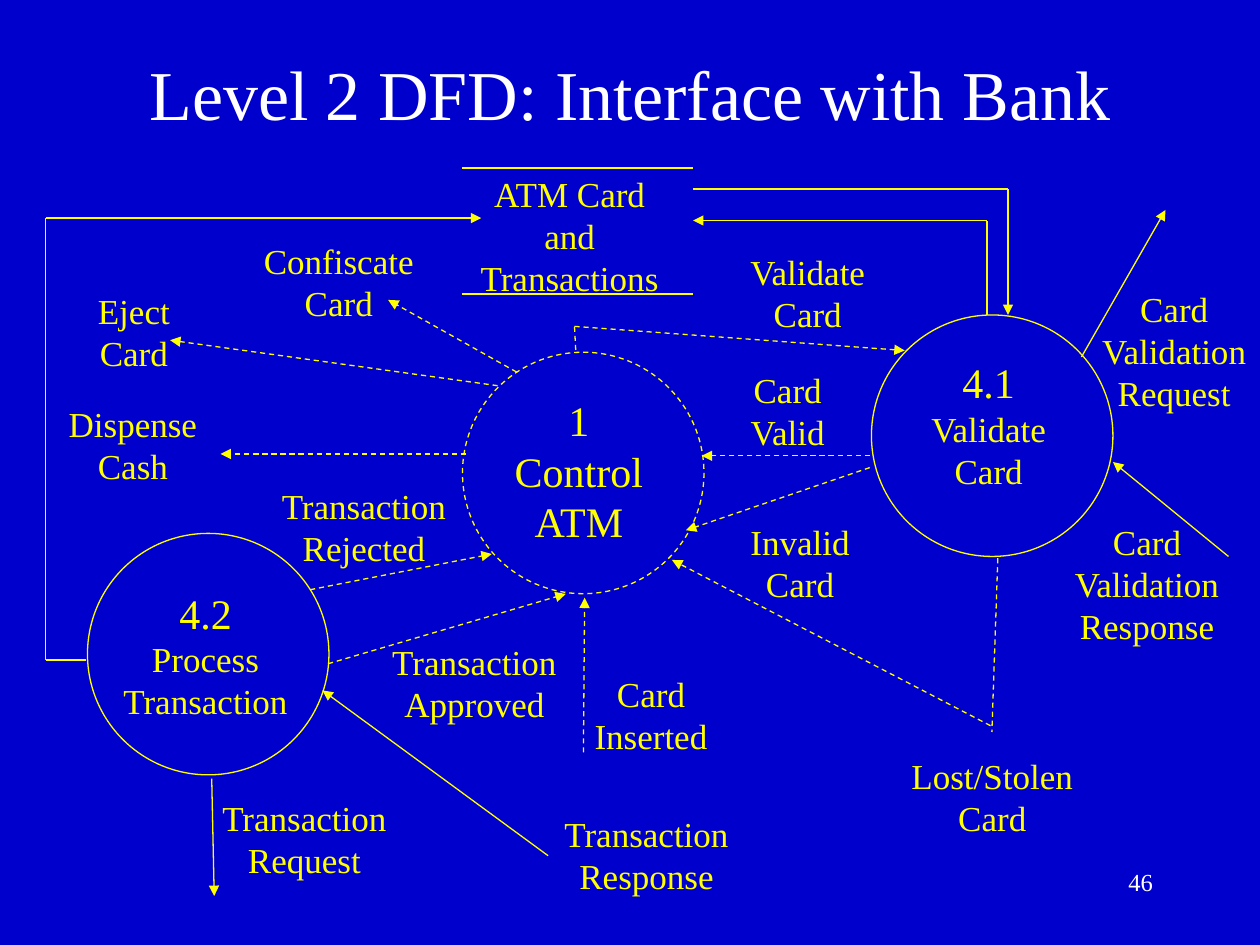
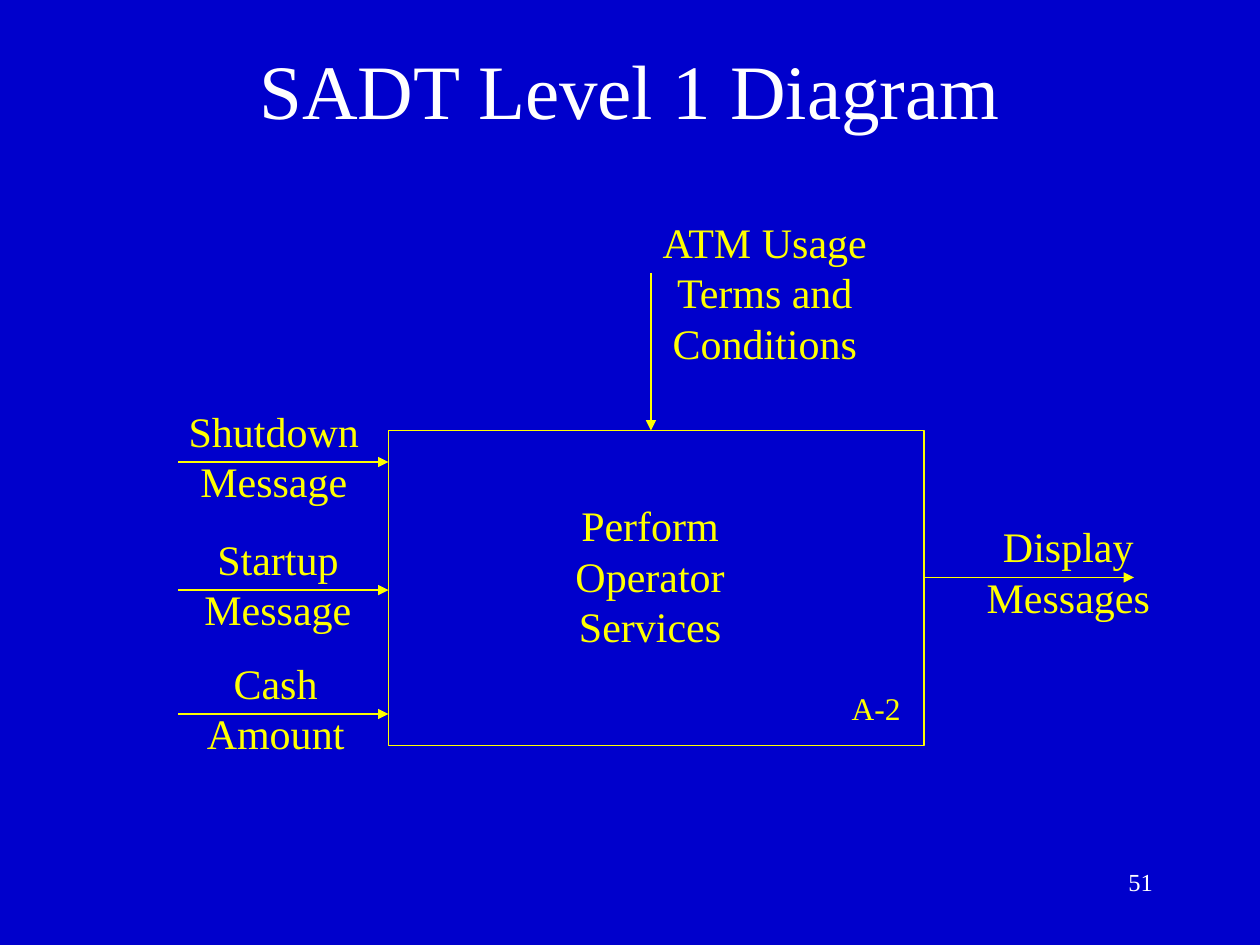
"""Build two process diagrams of a cash machine: a data flow and an SADT box."""
from itertools import pairwise
from lxml import etree
from pptx import Presentation
from pptx.dml.color import RGBColor as RGB
from pptx.enum.dml import MSO_LINE as DASH
from pptx.enum.shapes import MSO_CONNECTOR as LINK, MSO_SHAPE as KIND
from pptx.enum.text import MSO_ANCHOR as ANCHOR, MSO_AUTO_SIZE as FIT, PP_ALIGN as ALIGN
from pptx.oxml.ns import qn
from pptx.util import Pt

HUES = {"back": "0000CC", "ink": "FFFF00", "head": "FFFFFF"}
FONT = "Times New Roman"
THIN = Pt(0.75)


def write(page, words, x, y, wide, high=None, size=20, first=None, hue="ink",
          align=ALIGN.CENTER, anchor=ANCHOR.TOP):
    """Place lines of text; without a height the box fits its lines."""
    rows = words.split("\n")
    sizes = [first or size] + [size] * (len(rows) - 1)
    box = page.shapes.add_textbox(Pt(x), Pt(y), Pt(wide), Pt(high or 1.2 * sum(sizes) + 7.2))
    frame = box.text_frame
    frame.word_wrap = high is not None
    frame.auto_size = FIT.NONE if high else FIT.SHAPE_TO_FIT_TEXT
    frame.vertical_anchor = anchor
    for i, (row, pts) in enumerate(zip(rows, sizes)):
        para = frame.add_paragraph() if i else frame.paragraphs[0]
        para.alignment = align
        run = para.add_run()
        run.text = row
        run.font.name = FONT
        run.font.size = Pt(pts)
        run.font.color.rgb = RGB.from_string(HUES[hue])


def route(page, *spots, dash=False, arrow=True):
    """Join the spots with straight lines, with an arrowhead at the last."""
    for start, end in pairwise(spots):
        link = page.shapes.add_connector(LINK.STRAIGHT, *map(Pt, start + end))
        link.line.color.rgb = RGB.from_string(HUES["ink"])
        link.line.width = THIN
        if dash:
            link.line.dash_style = DASH.DASH
        if arrow and end == spots[-1]:
            etree.SubElement(link.line._get_or_add_ln(), qn("a:tailEnd"), type="triangle")
        etree.SubElement(link._element.spPr, qn("a:effectLst"))


deck = Presentation()
deck.slide_width, deck.slide_height = Pt(720), Pt(540)

pages = []
for title, top, size, num in [
    ("Level 2 DFD: Interface with Bank", 8, 40, "46"),
    ("SADT Level 1 Diagram", 5.6, 44, "51"),
]:
    page = deck.slides.add_slide(deck.slide_layouts[6])
    page.background.fill.solid()
    page.background.fill.fore_color.rgb = RGB.from_string(HUES["back"])
    write(page, title, 54, top, 612, 90, size=size, hue="head", anchor=ANCHOR.MIDDLE)
    write(page, num, 516, 492, 150, 36, size=14, hue="head", align=ALIGN.RIGHT)
    pages.append(page)
flow, sadt = pages

for page, kind, x, y, wide, high, dash in [
    (flow, KIND.OVAL, 498, 180, 138, 138, False),
    (flow, KIND.OVAL, 50, 304.8, 138, 138, False),
    (flow, KIND.OVAL, 264.3, 201.3, 138, 138, True),
    (sadt, KIND.RECTANGLE, 222, 246, 306, 180, False),
]:
    shape = page.shapes.add_shape(kind, Pt(x), Pt(y), Pt(wide), Pt(high))
    shape.shadow.inherit = False
    shape.fill.background()
    shape.line.color.rgb = RGB.from_string(HUES["ink"])
    shape.line.width = THIN
    if dash:
        shape.line.dash_style = DASH.DASH

write(flow, "4.1\nValidate\nCard", 522, 200.3, 86, first=24)
write(flow, "4.2\nProcess\nTransaction", 61, 332, 113, first=24)
write(flow, "1\nControl\nATM", 284.8, 222, 92, size=24)

for words, x, y, wide in [
    ("ATM Card\nand\nTransactions", 265, 95, 121),
    ("Confiscate\nCard", 141.6, 133.4, 104),
    ("Eject\nCard", 46.5, 161.6, 60),
    ("Dispense\nCash", 30, 226.6, 92),
    ("Transaction\nRejected", 151.5, 273.3, 113),
    ("Transaction\nApproved", 214.6, 362.4, 113),
    ("Transaction\nRequest", 117.5, 451.4, 113),
    ("Transaction\nResponse", 313, 460.6, 113),
    ("Card\nInserted", 331, 380.8, 82),
    ("Validate\nCard", 418.6, 139.5, 86),
    ("Card\nValid", 418.6, 207, 63),
    ("Invalid\nCard", 419.7, 293.8, 75),
    ("Lost/Stolen\nCard", 512, 427.4, 110),
    ("Card\nValidation\nRequest", 620, 160.6, 102),
    ("Card\nValidation\nResponse", 604.5, 293.8, 102),
]:
    write(flow, words, x, y, wide)

for y in (96, 168):
    route(flow, (264, y), (396, y), arrow=False)

for spots in [
    [(396, 108), (576, 108), (576, 180)],
    [(564, 180), (564, 126), (396, 126)],
    [(49, 377.2), (26.2, 377.2), (26.2, 124.6), (275, 124.6)],
    [(618, 204), (666, 120)],
    [(702, 318), (636, 264)],
    [(313.2, 489), (184.3, 394.5)],
    [(121, 445), (122.4, 512)],
]:
    route(flow, *spots)

for spots in [
    [(329, 200), (328.3, 186.5), (517, 200.3)],
    [(497, 260.5), (401, 260.5)],
    [(497, 267.2), (392, 303)],
    [(566, 414.7), (384, 320)],
    [(333.4, 430), (334.1, 341.5)],
    [(187.5, 379.3), (323.3, 339.4)],
    [(177.2, 337), (281, 316.6)],
    [(266.4, 259.4), (126, 259.4)],
    [(284.4, 220.4), (97.2, 194.4)],
    [(295.2, 212.6), (221.8, 171.4)],
]:
    route(flow, *spots, dash=True)
route(flow, (570.2, 319), (566.8, 418.3), dash=True, arrow=False)

for words, x, y, wide in [
    ("Perform\nOperator\nServices", 319, 282, 105),
    ("Shutdown\nMessage", 98.5, 228, 116),
    ("Startup\nMessage", 106.8, 301.2, 104),
    ("Cash\nAmount", 109, 372, 97),
    ("ATM Usage\nTerms and\nConditions", 368.5, 120.2, 137),
    ("Display\nMessages", 554, 294, 113),
]:
    write(sadt, words, x, y, wide, size=24)
write(sadt, "A-2", 477.5, 390, 46.5, size=18)

for y in (264, 337.2, 408):
    route(sadt, (102, y), (222, y))
route(sadt, (372, 156), (372, 246))
route(sadt, (528, 330), (648, 330))

deck.save("out.pptx")
